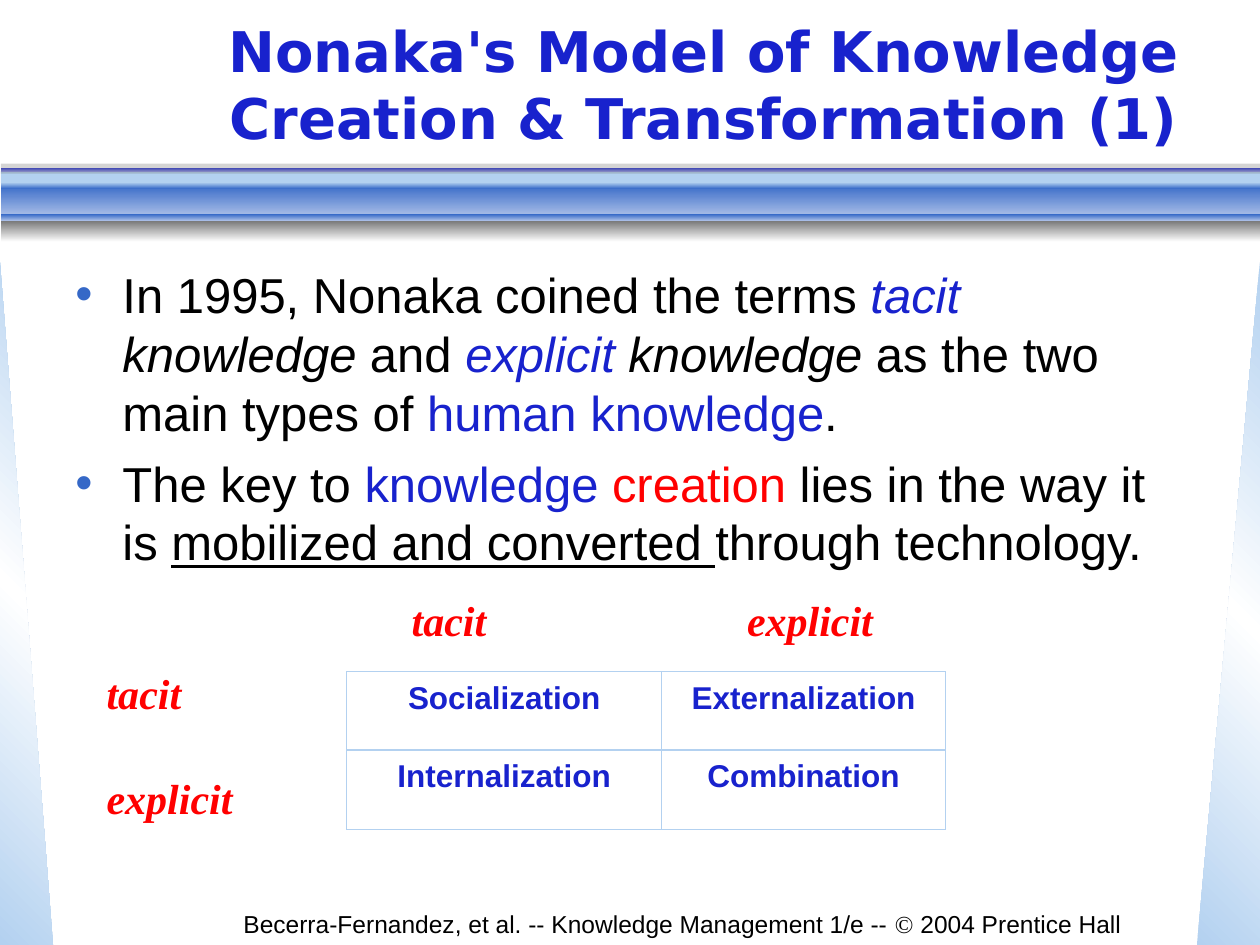
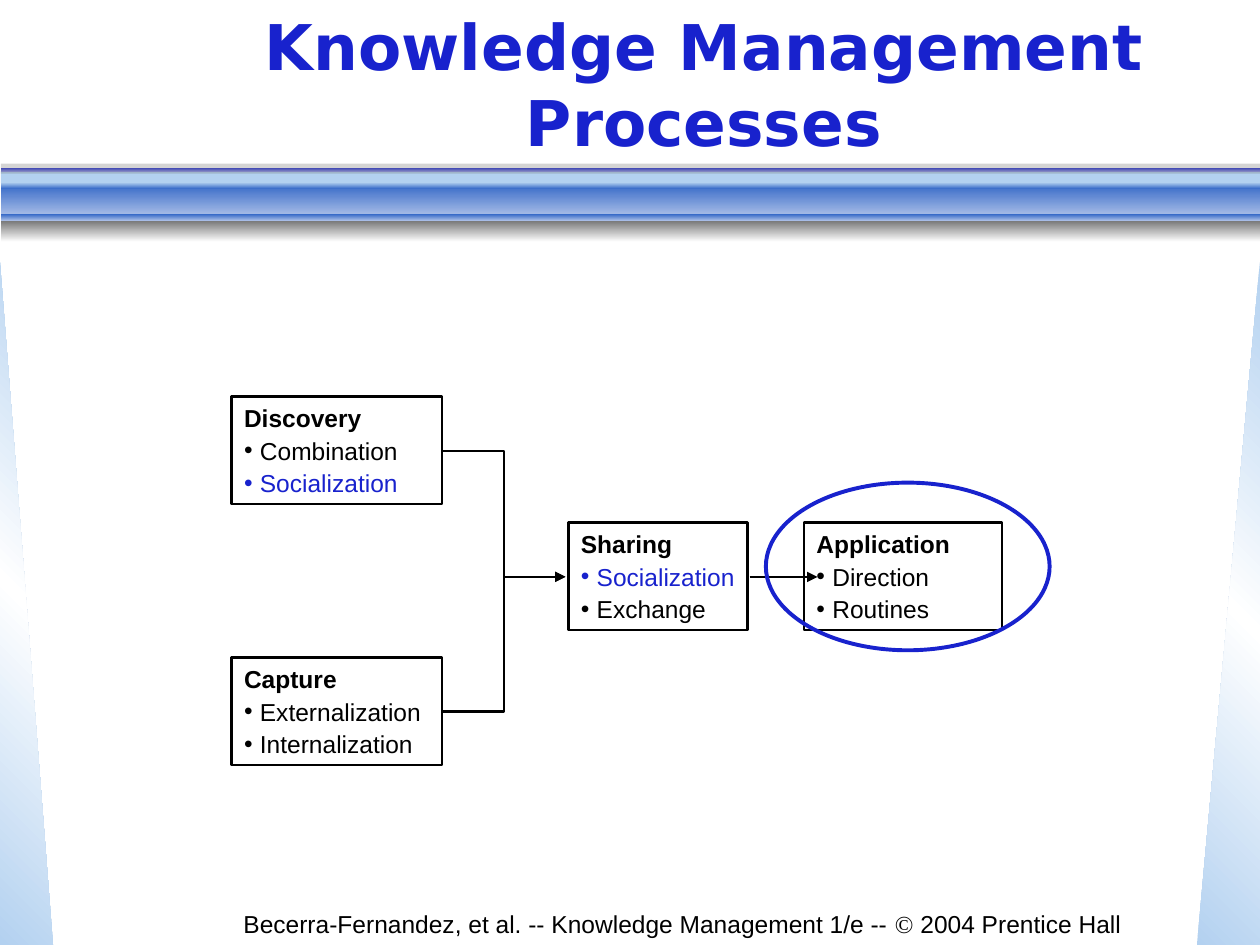
import copy
import dataclasses

import pptx
import pptx.dml.color
import pptx.enum.shapes
import pptx.enum.text
import pptx.oxml
import pptx.oxml.ns
import pptx.util

SHAPE = pptx.enum.shapes.MSO_SHAPE
LINK = pptx.enum.shapes.MSO_CONNECTOR
ALIGN = pptx.enum.text.PP_ALIGN
ANCHOR = pptx.enum.text.MSO_ANCHOR
Cm = pptx.util.Cm
Pt = pptx.util.Pt
qn = pptx.oxml.ns.qn


@dataclasses.dataclass(frozen=True)
class Theme:
    ink: str = "000000"
    blue: str = "1822CD"
    red: str = "FF0000"
    mid: str = "3568C7"
    soft: str = "A9BEE7"
    pale: str = "B3D1F0"
    lilac: str = "878DE5"
    gray: str = "777777"
    white: str = "FFFFFF"
    sans: str = "Arial"
    serif: str = "Times New Roman"
    head: str = "DejaVu Sans"
    long: int = 32
    short: int = 36
    body: int = 28
    label: int = 24
    cell: int = 18
    small: int = 14
    lead: float = 1.2


def rgb(code):
    return pptx.dml.color.RGBColor.from_string(code)


def place(*sizes):
    return [Cm(size) for size in sizes]


def node(tag, **attrs):
    item = pptx.oxml.parse_xml(f"<{tag} {pptx.oxml.ns.nsdecls('a')}/>")
    for name, value in attrs.items():
        item.set(name, str(value))
    return item


class Deck:
    def __init__(self, theme):
        self.theme = theme
        self.show = pptx.Presentation()
        self.show.slide_width, self.show.slide_height = place(25.4, 19.05)
        self.slide = None

    def start(self, title, size):
        self.slide = self.show.slides.add_slide(self.show.slide_layouts[5])
        self.frame()
        self.title(title, size)

    def frame(self):
        t = self.theme
        sheen = [t.pale, t.white, t.pale]
        self.blend(SHAPE.RIGHT_TRIANGLE, (0, 5.28, 1.07, 13.77), sheen, 45)
        right = self.blend(SHAPE.RIGHT_TRIANGLE, (24.13, 5.28, 1.27, 13.77), sheen, 315)
        right._element.spPr.xfrm.set("flipH", "1")
        self.shape(SHAPE.RECTANGLE, (0.02, 3.45, 25.38, 0.25), fill=t.pale)
        bands = [
            (3.71, 0.64, t.mid, t.soft),
            (3.38, 0.08, t.blue, t.lilac),
            (4.32, 0.13, t.mid, t.soft),
            (3.68, 0.13, t.pale, t.mid),
            (4.45, 0.43, t.gray, t.white),
        ]
        for top, high, first, last in bands:
            self.blend(SHAPE.RECTANGLE, (0.02, top, 25.38, high), [first, last], 270)
        veil = self.shape(SHAPE.RECTANGLE, (0.02, 3.3, 25.38, 0.2), fill=t.gray)
        tint = veil._element.spPr.find(".//" + qn("a:srgbClr"))
        tint.append(node("a:alpha", val=31000))
        foot = self.text((3.81, 18.21, 19.89, 0.84)).paragraphs[0]
        foot.alignment = ALIGN.CENTER
        self.put(foot, [("Becerra-Fernandez, et al. -- Knowledge Management 1/e -- ",),
                        ("©",), (" 2004 Prentice Hall",)], t.small)
        foot.runs[1].font.name = t.serif

    def title(self, words, size):
        t = self.theme
        box = self.slide.shapes.title
        box.left, box.top, box.width, box.height = place(3.18, 0.2, 22.02, 2.97)
        frame = box.text_frame
        frame.auto_size = pptx.enum.text.MSO_AUTO_SIZE.NONE
        frame.vertical_anchor = ANCHOR.MIDDLE
        para = frame.paragraphs[0]
        para.alignment = ALIGN.CENTER
        self.put(para, [(words, t.blue, "b")], size, t.head)

    def shape(self, kind, spot, fill=None, line=None, width=1.5):
        item = self.slide.shapes.add_shape(kind, *place(*spot))
        item.shadow.inherit = False
        if fill:
            item.fill.solid()
            item.fill.fore_color.rgb = rgb(fill)
        else:
            item.fill.background()
        if line:
            item.line.color.rgb = rgb(line)
            item.line.width = Pt(width)
        else:
            item.line.fill.background()
        return item

    def blend(self, kind, spot, hues, angle):
        item = self.shape(kind, spot)
        item.fill.gradient()
        item.fill.gradient_angle = angle
        stops = item._element.spPr.find(".//" + qn("a:gsLst"))
        for _ in hues[2:]:
            stops.append(copy.deepcopy(stops[0]))
        for index, (stop, hue) in enumerate(zip(item.fill.gradient_stops, hues)):
            stop.position = index / (len(hues) - 1)
            stop.color.rgb = rgb(hue)
        return item

    def text(self, spot):
        frame = self.slide.shapes.add_textbox(*place(*spot)).text_frame
        frame.word_wrap = True
        return frame

    def put(self, para, parts, size, font=None):
        para.line_spacing = Pt(size * self.theme.lead)
        for words, *style in parts:
            hue, marks = style + [self.theme.ink, ""][len(style):]
            run = para.add_run()
            run.text = words
            face = run.font
            face.name = font or self.theme.sans
            face.size = Pt(size)
            face.color.rgb = rgb(hue)
            face.bold = "b" in marks
            face.italic = "i" in marks
            face.underline = "u" in marks

    def bullet(self, para, hue, indent):
        props = para._p.get_or_add_pPr()
        props.set("marL", str(Cm(indent)))
        props.set("indent", str(-Cm(indent)))
        paint = node("a:buClr")
        paint.append(node("a:srgbClr", val=hue))
        props.extend([paint, node("a:buFont", typeface=self.theme.sans),
                      node("a:buChar", char="•")])

    def points(self, spot, items):
        frame = self.text(spot)
        for index, parts in enumerate(items):
            para = frame.add_paragraph() if index else frame.paragraphs[0]
            self.bullet(para, self.theme.mid, 0.95)
            para.space_before = Pt(7 if index else 0)
            self.put(para, parts, self.theme.body)

    def label(self, words, spot):
        t = self.theme
        self.put(self.text(spot).paragraphs[0], [(words, t.red, "bi")], t.label, t.serif)

    def grid(self, spot, widths, heights, rows):
        t = self.theme
        size = place(*spot, sum(widths), sum(heights))
        table = self.slide.shapes.add_table(len(rows), len(widths), *size).table
        table.first_row = table.horz_banding = False
        for column, width in zip(table.columns, widths):
            column.width = Cm(width)
        for row, height in zip(table.rows, heights):
            row.height = Cm(height)
        for r, words in enumerate(rows):
            for c, word in enumerate(words):
                cell = table.cell(r, c)
                for side in "LRTB":
                    inner = side == "T" and r or side == "B" and r < len(rows) - 1
                    self.edge(cell, side, 1.47 if inner else 0.45)
                cell.fill.background()
                para = cell.text_frame.paragraphs[0]
                para.alignment = ALIGN.CENTER
                self.put(para, [(word, t.blue, "b")], t.cell)

    def edge(self, cell, side, width):
        line = node("a:ln" + side, w=Pt(width))
        solid = node("a:solidFill")
        solid.append(node("a:srgbClr", val=self.theme.pale))
        line.append(solid)
        cell._tc.get_or_add_tcPr().append(line)

    def card(self, spot, head, items):
        t = self.theme
        frame = self.shape(SHAPE.RECTANGLE, spot, line=t.ink).text_frame
        frame.word_wrap = True
        frame.margin_right = 0
        frame.vertical_anchor = ANCHOR.TOP
        para = frame.paragraphs[0]
        para.alignment = ALIGN.LEFT
        para.space_after = Pt(0.9)
        self.put(para, [(head, t.ink, "b")], t.small)
        for word in items:
            hue = t.blue if word == "Socialization" else t.ink
            para = frame.add_paragraph()
            self.bullet(para, hue, 0.32)
            para.alignment = ALIGN.LEFT
            para.space_before = para.space_after = Pt(0.9)
            self.put(para, [(word, hue)], t.small)

    def arrow(self, kind, *ends):
        link = self.slide.shapes.add_connector(kind, *place(*ends))
        link.line.color.rgb = rgb(self.theme.ink)
        link.line.width = Pt(1.5)
        props = link._element.spPr
        props.find(qn("a:ln")).append(node("a:tailEnd", type="triangle"))
        props.append(node("a:effectLst"))


def model(deck):
    t = deck.theme
    deck.start("Nonaka's Model of Knowledge Creation & Transformation (1)", t.long)
    deck.points((1.27, 5.21, 22.86, 12.57), [
        [("In 1995, Nonaka coined the terms ",), ("tacit", t.blue, "i"),
         (" knowledge", t.ink, "i"), (" and ",), ("explicit", t.blue, "i"),
         (" knowledge", t.ink, "i"), (" as the two main types of ",),
         ("human knowledge", t.blue), (".",)],
        [("The key to ",), ("knowledge ", t.blue), ("creation", t.red),
         (" lies in the way it is ",), ("mobilized and converted ", t.ink, "u"),
         ("through technology.",)],
    ])
    deck.grid((6.99, 13.54), (6.35, 5.72), (1.58, 1.6),
              [("Socialization", "Externalization"), ("Internalization", "Combination")])
    for word, left, top in [("tacit", 1.9, 13.34), ("tacit", 8.05, 11.86),
                            ("explicit", 14.81, 11.86), ("explicit", 1.9, 15.44)]:
        deck.label(word, (left, top, 3.4, 1.27))


def process(deck):
    t = deck.theme
    deck.start("Knowledge Management Processes", t.short)
    cards = [
        (4.67, 13.26, 4.24, "Capture", ("Externalization", "Internalization")),
        (11.46, 10.54, 3.61, "Sharing", ("Socialization", "Exchange")),
        (16.21, 10.54, 3.99, "Application", ("Direction", "Routines")),
        (4.67, 8, 4.24, "Discovery", ("Combination", "Socialization")),
    ]
    for left, top, width, head, items in cards:
        deck.card((left, top, width, 2.16), head, items)
    level = 11.63
    for top in (14.35, 9.09):
        deck.arrow(LINK.ELBOW, 8.92, top, 11.4, level)
    deck.arrow(LINK.STRAIGHT, 15.11, level, 16.48, level)
    deck.shape(SHAPE.OVAL, (15.44, 9.73, 5.72, 3.38), line=t.blue, width=2.25)


def main():
    deck = Deck(Theme())
    model(deck)
    process(deck)
    deck.show.save("out.pptx")


if __name__ == "__main__":
    main()
